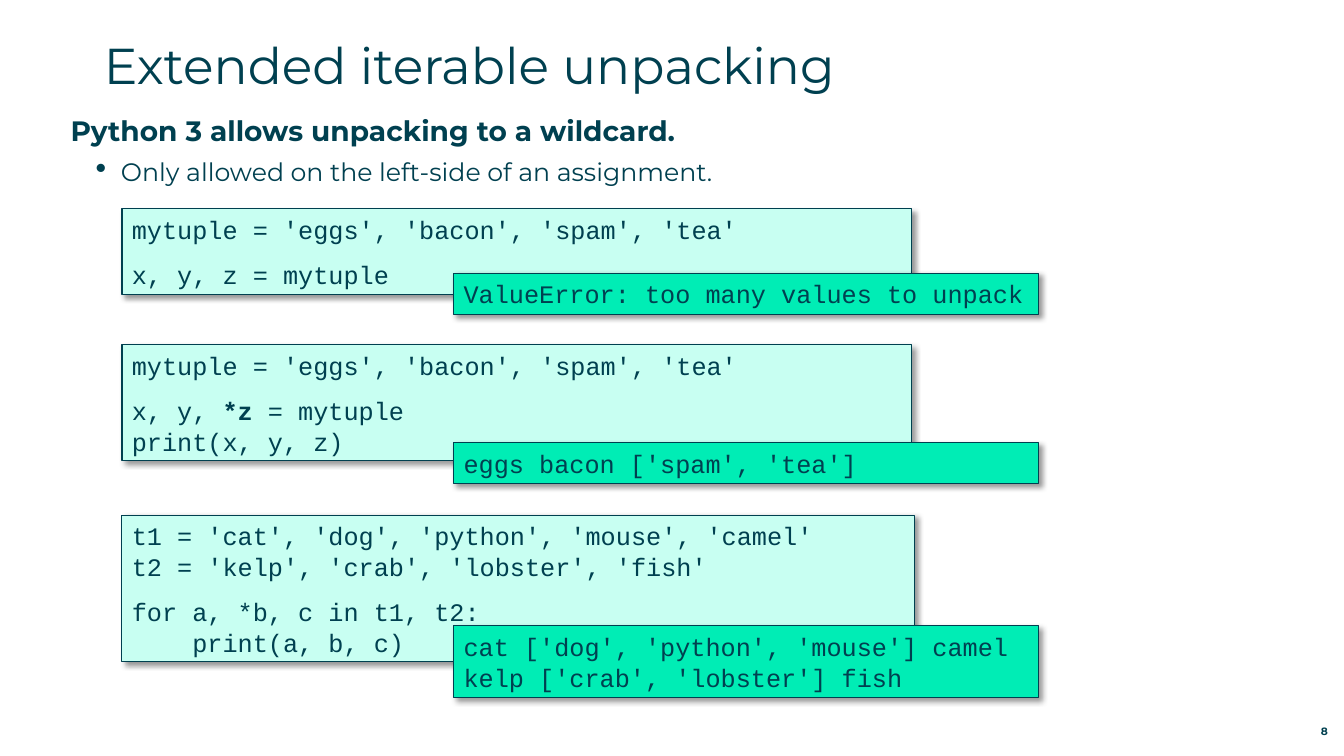
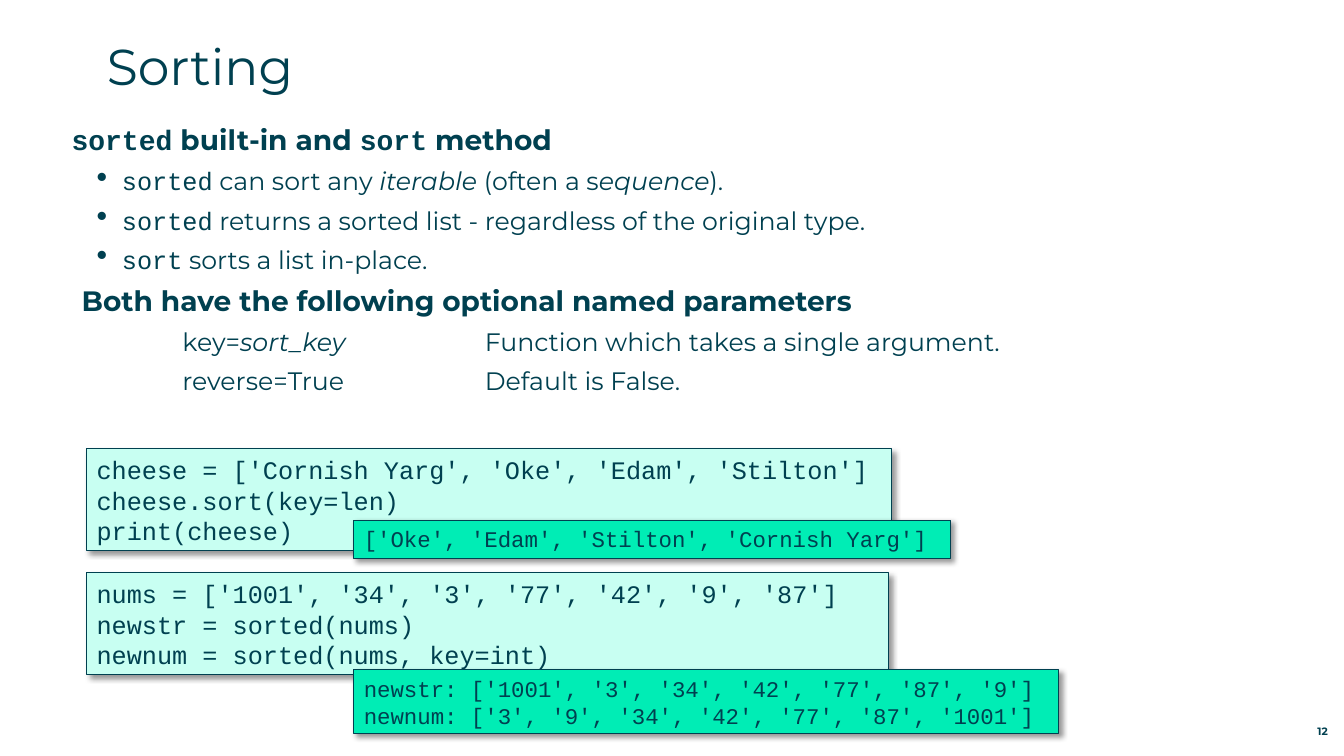
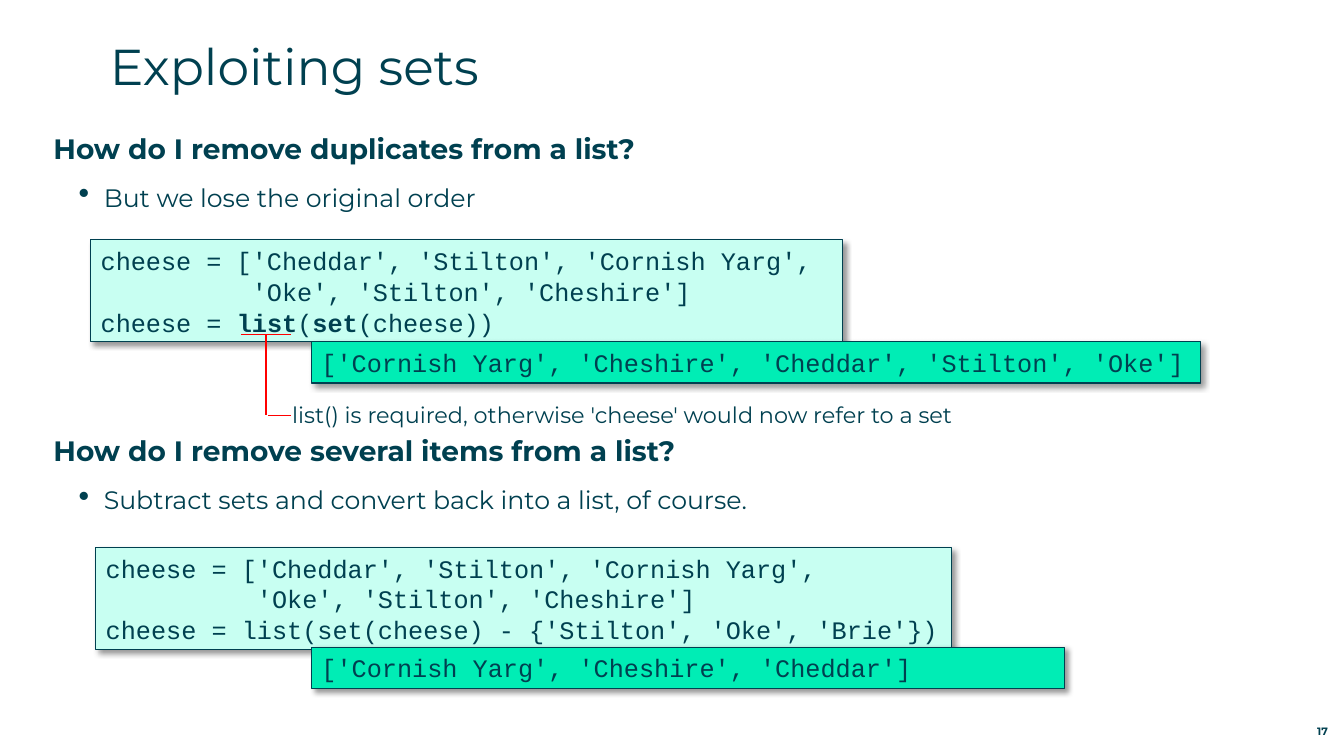
from lxml import etree
from pptx import Presentation
from pptx import util as u
from pptx.dml.color import RGBColor
from pptx.enum import shapes, text
from pptx.oxml import ns

PX = 9144
INK, CODE_FILL, OUTPUT_FILL, RED = "004050", "C8FFF2", "00EDB5", "FF0000"
SANS, MONO = "Montserrat", "Courier New"
MONO_LEADING = 1.22


def px(length):
    """Turn px, 100 to the inch, into EMU."""
    return u.Emu(length * PX)


def colour(value):
    """Turn a hex string into a colour."""
    return RGBColor.from_string(value)


def child(parent, tag, **attributes):
    """Append a drawing element to a parent."""
    return etree.SubElement(parent, ns.qn(tag), {k: str(v) for k, v in attributes.items()})


def add_runs(paragraph, runs, size, font=SANS, bold=False):
    """Add runs, each a string or (string, flags): b bold, i italic, m mono."""
    for part in [runs] if isinstance(runs, str) else runs:
        words, flags = (part, "") if isinstance(part, str) else part
        run = paragraph.add_run()
        run.text = words
        run.font.size = u.Pt(size)
        run.font.name = MONO if "m" in flags else font
        run.font.bold = bold or "b" in flags
        run.font.italic = "i" in flags
        run.font.color.rgb = colour(INK)


def paragraphs(frame, items):
    """Yield a paragraph of the frame for every item."""
    for index, item in enumerate(items):
        yield (frame.add_paragraph() if index else frame.paragraphs[0]), item


def text_area(slide, box, inset=(0, 0)):
    """Add a wrapping text box and return its frame."""
    frame = slide.shapes.add_textbox(*map(px, box)).text_frame
    frame.word_wrap = True
    frame.margin_left = frame.margin_right = px(inset[0])
    frame.margin_top = frame.margin_bottom = px(inset[1])
    return frame


def add_base(deck, title, title_at, number):
    """Add a slide with its title and page number."""
    slide = deck.slides.add_slide(deck.slide_layouts[6])
    heading = text_area(slide, (*title_at, 1200, 88))
    add_runs(heading.paragraphs[0], title, 36)
    footer = text_area(slide, (1231, 712, 86, 20))
    footer.vertical_anchor = text.MSO_ANCHOR.BOTTOM
    footer.paragraphs[0].alignment = text.PP_ALIGN.RIGHT
    add_runs(footer.paragraphs[0], str(number), 7.6, bold=True)
    return slide


def add_body(slide, box, items, before=0):
    """Add (kind, runs) paragraphs: head, subhead, bullet or parameter."""
    for paragraph, (kind, runs) in paragraphs(text_area(slide, box), items):
        paragraph.space_before = u.Pt(before)
        paragraph.space_after = u.Pt(6.5)
        props = paragraph._p.get_or_add_pPr()
        if kind == "subhead":
            props.set("marL", str(px(10)))
        elif kind == "bullet":
            props.set("marL", str(px(50)))
            props.set("indent", str(px(-25)))
            child(props, "a:buSzPct", val=125000)
            child(props, "a:buChar", char="•")
        elif kind == "parameter":
            stops = child(props, "a:tabLst")
            for stop in (110, 410):
                child(stops, "a:tab", pos=px(stop), algn="l")
        is_head = kind in ("head", "subhead")
        add_runs(paragraph, runs, 20 if is_head else 18, bold=is_head)


def add_panel(slide, box, blocks, fill, size=18, weight=0.75):
    """Add a shadowed panel of code; a small gap parts its blocks of lines."""
    panel = slide.shapes.add_shape(shapes.MSO_SHAPE.RECTANGLE, *map(px, box))
    panel.fill.solid()
    panel.fill.fore_color.rgb = colour(fill)
    panel.line.color.rgb = colour(INK)
    panel.line.width = u.Pt(weight)
    panel.shadow.inherit = False
    effects = panel._element.spPr.find(ns.qn("a:effectLst"))
    shadow = child(effects, "a:outerShdw", blurRad=u.Pt(4), dist=u.Pt(3),
                   dir=2700000, algn="tl", rotWithShape=0)
    child(child(shadow, "a:srgbClr", val="000000"), "a:alpha", val=40000)
    frame = panel.text_frame
    frame.word_wrap = True
    frame.vertical_anchor = text.MSO_ANCHOR.TOP
    frame.margin_left = frame.margin_right = px(10)
    frame.margin_top = frame.margin_bottom = px(5)
    lines = [(line, block > 0 and row == 0)
             for block, group in enumerate(blocks) for row, line in enumerate(group)]
    for paragraph, (line, gap) in paragraphs(frame, lines):
        paragraph.alignment = text.PP_ALIGN.LEFT
        paragraph.line_spacing = u.Pt(round(size * MONO_LEADING, 1))
        paragraph.space_before = u.Pt(10 if gap else 0)
        add_runs(paragraph, line, size, MONO)


def add_code(slide, box, *blocks, weight=0.75):
    """Add a pale panel of source code."""
    add_panel(slide, box, blocks, CODE_FILL, weight=weight)


def add_output(slide, box, *lines, size=18):
    """Add a bright panel of program output."""
    add_panel(slide, box, [lines], OUTPUT_FILL, size)


def add_callout(slide, box, note):
    """Underline a word and lead down from it to a note."""
    left, top, width, height = box
    middle, bottom, right = left + width // 2, top + height, left + width
    for ends in ((left, top, right, top), (middle, top, middle, bottom),
                 (middle + 2, bottom, right, bottom)):
        rule = slide.shapes.add_connector(shapes.MSO_CONNECTOR.STRAIGHT, *map(px, ends))
        rule.line.color.rgb = colour(RED)
        rule.line.width = u.Pt(1)
        child(rule._element.spPr, "a:effectLst")
    label = text_area(slide, (right - 9, bottom - 19, 700, 37), (10, 5))
    add_runs(label.paragraphs[0], note, 16)


def unpacking_slide(deck):
    """Build the slide on iterable unpacking."""
    slide = add_base(deck, "Extended iterable unpacking", (103, 34), 8)
    add_body(slide, (70, 113, 1200, 90), [
        ("head", "Python 3 allows unpacking to a wildcard."),
        ("bullet", "Only allowed on the left-side of an assignment."),
    ])
    breakfast = "mytuple = 'eggs', 'bacon', 'spam', 'tea'"
    add_code(slide, (121, 207, 783, 85), [breakfast], ["x, y, z = mytuple"], weight=1)
    add_output(slide, (450, 271, 580, 41), "ValueError: too many values to unpack")
    add_code(slide, (121, 342, 783, 115), [breakfast],
             [["x, y, ", ("*z", "b"), " = mytuple"], "print(x, y, z)"], weight=1)
    add_output(slide, (450, 439, 580, 41), "eggs bacon ['spam', 'tea']")
    add_code(slide, (121, 511, 786, 145),
             ["t1 = 'cat', 'dog', 'python', 'mouse', 'camel'",
              "t2 = 'kelp', 'crab', 'lobster', 'fish'"],
             ["for a, *b, c in t1, t2:", "    print(a, b, c)"])
    add_output(slide, (450, 621, 580, 71), "cat ['dog', 'python', 'mouse'] camel",
               "kelp ['crab', 'lobster'] fish")


def sorting_slide(deck):
    """Build the slide on sorting."""
    slide = add_base(deck, "Sorting", (106, 35), 12)
    add_body(slide, (71, 122, 1200, 300), [
        ("head", [("sorted", "m"), " built-in and ", ("sort", "m"), " method"]),
        ("bullet", [("sorted", "m"), " can sort any ", ("iterable", "i"),
                    " (often a s", ("equence", "i"), ")."]),
        ("bullet", [("sorted", "m"),
                    " returns a sorted list - regardless of the original type."]),
        ("bullet", [("sort", "m"), " sorts a list in-place."]),
        ("subhead", "Both have the following optional named parameters"),
        ("parameter", ["\tkey=", ("sort_key", "i"),
                       "\tFunction which takes a single argument."]),
        ("parameter", "\treverse=True\tDefault is False."),
    ])
    add_code(slide, (86, 445, 798, 101),
             ["cheese = ['Cornish Yarg', 'Oke', 'Edam', 'Stilton']",
              "cheese.sort(key=len)", "print(cheese)"])
    add_output(slide, (351, 516, 592, 38),
               "['Oke', 'Edam', 'Stilton', 'Cornish Yarg']", size=16)
    add_code(slide, (86, 568, 795, 101),
             ["nums = ['1001', '34', '3', '77', '42', '9', '87']",
              "newstr = sorted(nums)", "newnum = sorted(nums, key=int)"])
    add_output(slide, (351, 664, 699, 64),
               "newstr: ['1001', '3', '34', '42', '77', '87', '9']",
               "newnum: ['3', '9', '34', '42', '77', '87', '1001']", size=16)


def sets_slide(deck):
    """Build the slide on sets."""
    slide = add_base(deck, "Exploiting sets", (109, 35), 17)
    questions = (
        (130, "How do I remove duplicates from a list?", "But we lose the original order"),
        (430, "How do I remove several items from a list?",
         "Subtract sets and convert back into a list, of course."),
    )
    for top, question, answer in questions:
        add_body(slide, (53, top, 1200, 90),
                 [("head", question), ("bullet", answer)], before=6)
    cheeses = ["cheese = ['Cheddar', 'Stilton', 'Cornish Yarg',",
               "          'Oke', 'Stilton', 'Cheshire']"]
    add_code(slide, (90, 238, 746, 101),
             cheeses + [["cheese = ", ("list", "b"), "(", ("set", "b"), "(cheese))"]])
    add_output(slide, (309, 339, 882, 41),
               "['Cornish Yarg', 'Cheshire', 'Cheddar', 'Stilton', 'Oke']")
    add_code(slide, (95, 543, 849, 101),
             cheeses + ["cheese = list(set(cheese) - {'Stilton', 'Oke', 'Brie'})"])
    add_output(slide, (309, 642, 747, 41), "['Cornish Yarg', 'Cheshire', 'Cheddar']")
    add_callout(slide, (239, 332, 50, 80),
                "list() is required, otherwise 'cheese' would now refer to a set")


def main():
    """Build and save the deck."""
    deck = Presentation()
    deck.slide_width, deck.slide_height = px(1333), px(750)
    for build in (unpacking_slide, sorting_slide, sets_slide):
        build(deck)
    deck.save("out.pptx")


if __name__ == "__main__":
    main()
